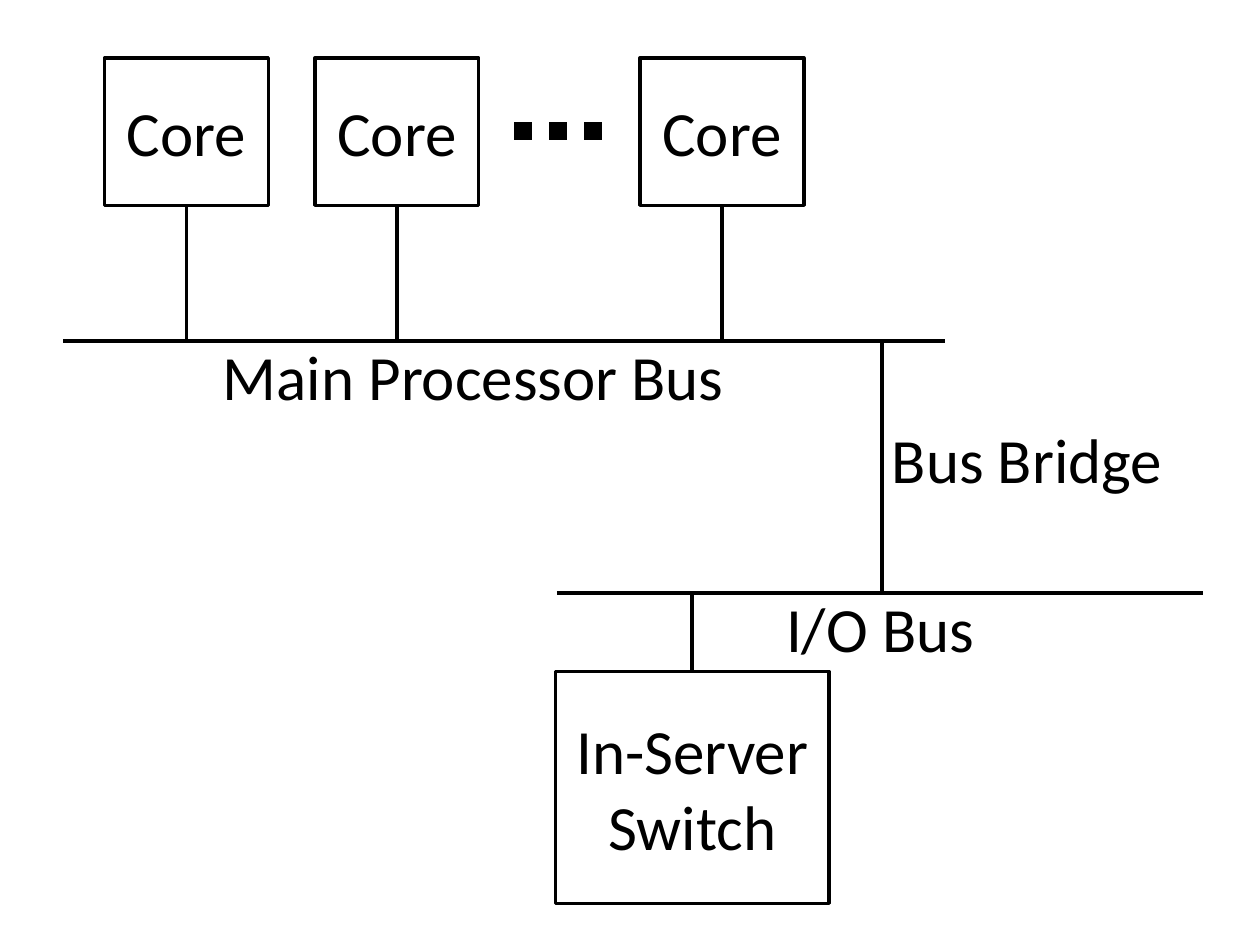
from dataclasses import dataclass

from lxml.etree import SubElement
from pptx import Presentation
from pptx.dml.color import RGBColor
from pptx.enum.dml import MSO_LINE
from pptx.enum.shapes import MSO_CONNECTOR, MSO_SHAPE
from pptx.enum.text import MSO_ANCHOR, MSO_AUTO_SIZE, PP_ALIGN
from pptx.oxml.ns import qn
from pptx.util import Inches, Pt

BLACK = RGBColor(0x00, 0x00, 0x00)
WHITE = RGBColor(0xFF, 0xFF, 0xFF)
FONT_NAME = "Calibri"
FONT_SIZE = Pt(36)

CORE_TOP, CORE_WIDTH, CORE_HEIGHT = 0.46, 1.3, 1.17
CORE_LEFTS = (0.83, 2.5, 5.08)
MAIN_BUS_Y, IO_BUS_Y = 2.71, 4.71
BRIDGE_X = 7.0


@dataclass(frozen=True)
class Box:
    text: str
    left: float
    top: float
    width: float
    height: float

    @property
    def center_x(self) -> float:
        return self.left + self.width / 2

    @property
    def bottom(self) -> float:
        return self.top + self.height


@dataclass(frozen=True)
class Wire:
    start_x: float
    start_y: float
    end_x: float
    end_y: float


def add_text(paragraph, text: str) -> None:
    run = paragraph.add_run()
    run.text = text
    run.font.name = FONT_NAME
    run.font.size = FONT_SIZE
    run.font.color.rgb = BLACK


def add_box(slide, box: Box) -> None:
    shape = slide.shapes.add_shape(
        MSO_SHAPE.RECTANGLE, Inches(box.left), Inches(box.top),
        Inches(box.width), Inches(box.height))
    shape.shadow.inherit = False
    shape.fill.solid()
    shape.fill.fore_color.rgb = WHITE
    shape.line.color.rgb = BLACK
    shape.line.width = Pt(2)
    frame = shape.text_frame
    frame.word_wrap = True
    frame.vertical_anchor = MSO_ANCHOR.MIDDLE
    paragraph = frame.paragraphs[0]
    paragraph.alignment = PP_ALIGN.CENTER
    add_text(paragraph, box.text)


def add_label(slide, label: Box) -> None:
    shape = slide.shapes.add_textbox(
        Inches(label.left), Inches(label.top),
        Inches(label.width), Inches(label.height))
    frame = shape.text_frame
    frame.word_wrap = False
    frame.auto_size = MSO_AUTO_SIZE.SHAPE_TO_FIT_TEXT
    add_text(frame.paragraphs[0], label.text)


def add_wire(slide, wire: Wire, width: float = 2.25):
    connector = slide.shapes.add_connector(
        MSO_CONNECTOR.STRAIGHT, Inches(wire.start_x), Inches(wire.start_y),
        Inches(wire.end_x), Inches(wire.end_y))
    connector.line.color.rgb = BLACK
    connector.line.width = Pt(width)
    SubElement(connector._element.spPr, qn("a:effectLst"))
    return connector


presentation = Presentation()
presentation.slide_width = Inches(10)
presentation.slide_height = Inches(7.5)
slide = presentation.slides.add_slide(presentation.slide_layouts[6])

# Processor cores and the in-server switch
cores = [Box("Core", left, CORE_TOP, CORE_WIDTH, CORE_HEIGHT)
         for left in CORE_LEFTS]
switch = Box("In-Server Switch", 4.41, 5.33, 2.17, 1.84)
for box in [*cores, switch]:
    add_box(slide, box)

# Dots standing for further cores
more_cores = add_wire(slide, Wire(4.08, 1.04, 4.83, 1.04), width=10)
more_cores.line.dash_style = MSO_LINE.ROUND_DOT

# Buses, the bridge between them, and the links to the boxes
wires = [
    Wire(0.5, MAIN_BUS_Y, 7.5, MAIN_BUS_Y),
    Wire(4.42, IO_BUS_Y, 9.55, IO_BUS_Y),
    Wire(BRIDGE_X, MAIN_BUS_Y, BRIDGE_X, IO_BUS_Y),
    Wire(switch.center_x, switch.top, switch.center_x, IO_BUS_Y),
    *(Wire(core.center_x, core.bottom, core.center_x, MAIN_BUS_Y)
      for core in cores),
]
for wire in wires:
    add_wire(slide, wire)

# Labels
labels = [
    Box("Main Processor Bus", 1.67, 2.63, 4.22, 0.71),
    Box("Bus Bridge", 6.98, 3.29, 2.37, 0.71),
    Box("I/O Bus", 6.14, 4.63, 1.71, 0.71),
]
for label in labels:
    add_label(slide, label)

presentation.save("out.pptx")
